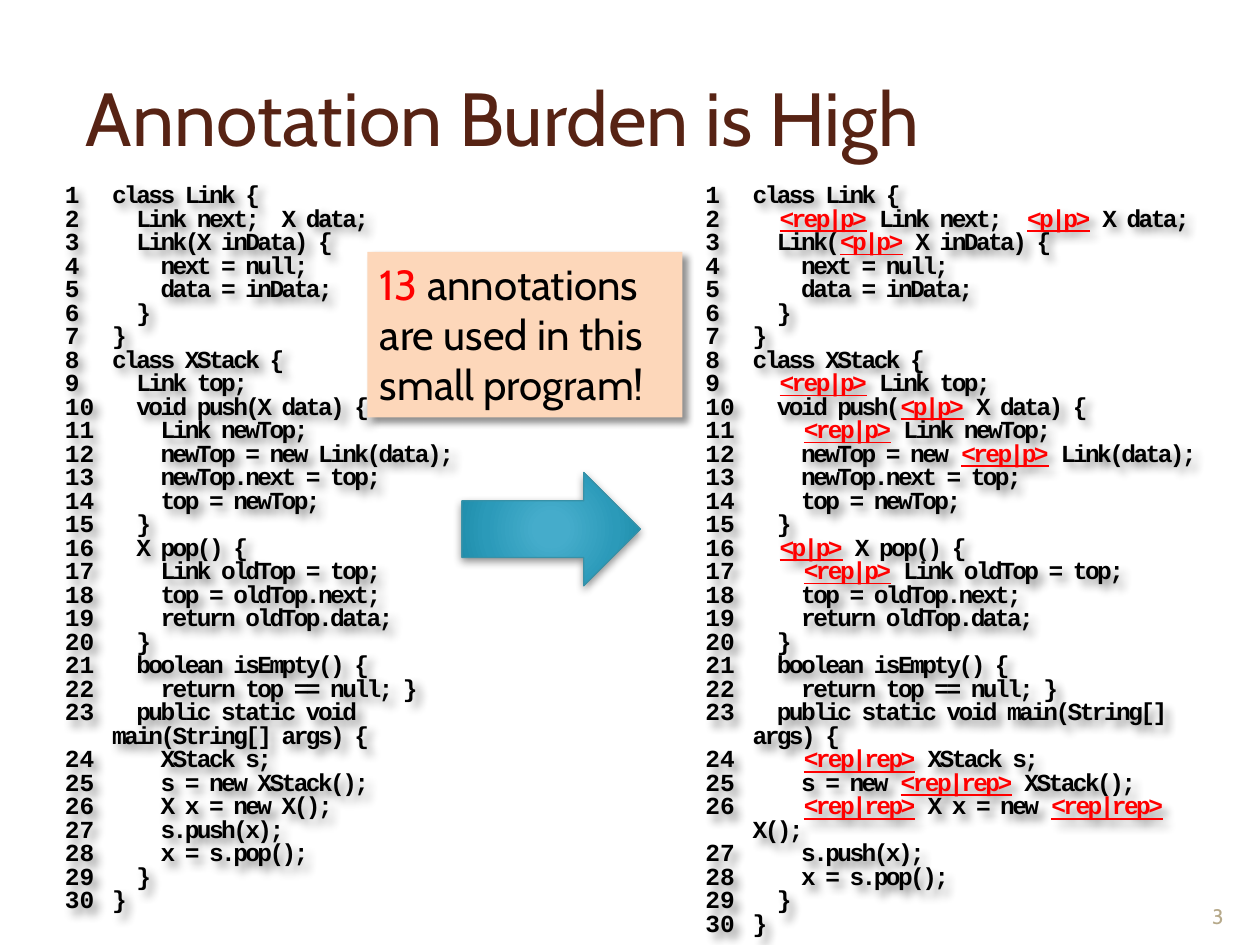
from lxml import etree
from pptx import Presentation
from pptx.dml.color import RGBColor
from pptx.enum.shapes import MSO_SHAPE
from pptx.enum.text import MSO_ANCHOR, MSO_AUTO_SIZE, PP_ALIGN
from pptx.oxml import parse_xml
from pptx.util import Pt

RECT, ARROW = MSO_SHAPE.RECTANGLE, MSO_SHAPE.RIGHT_ARROW
TOP, MIDDLE, BOTTOM = MSO_ANCHOR.TOP, MSO_ANCHOR.MIDDLE, MSO_ANCHOR.BOTTOM
LEFT, CENTER = PP_ALIGN.LEFT, PP_ALIGN.CENTER
GROW, FIXED = MSO_AUTO_SIZE.SHAPE_TO_FIT_TEXT, MSO_AUTO_SIZE.NONE
NS = "http://schemas.openxmlformats.org/drawingml/2006/main"

BLACK, RED = "000000", "FF0000"
BODY, CODE = "Cabin", "Courier New"

# Annotated program; the plain one is the same without the <...> parts.
# A ~ only marks where a new text run starts.
PROGRAM = """\
class~ ~Link {
  <rep|p> ~Link next;  <p|p> ~X data;
  Link(<p|p> ~X inData) {
    next = ~null;
    data = inData;
  }
}
class~ ~XStack {
  <rep|p> ~Link top;
  void~ ~push(<p|p> ~X data) {
    <rep|p> ~Link newTop;
    newTop = new <rep|p> Link(data);
    newTop.next = top;
    top = newTop;
  }
  <p|p> X pop() {
    <rep|p> Link oldTop = top;
    top = oldTop.next;
    ~return~ ~oldTop.data;
  }
  ~boolean~ ~isEmpty() {
    return top == null; }
  ~public static void~ main(String[] args) {
    <rep|rep> XStack s;
    s = new <rep|rep> ~XStack();
    <rep|rep> ~X x = new <rep|rep> ~X();
    s.push(x);
    x = s.pop();
  }
}""".split("\n")


def rgb(value):
    return RGBColor.from_string(value)


def pieces(line):
    """Split a line; every second piece is the inside of an annotation."""
    return line.replace(">", "<").split("<")


def strip_annotations(line):
    first, *rest = pieces(line.replace("~", ""))
    return first + "".join(part[1:] for part in rest[1::2])


class Deck:
    body = {"name": BODY, "size": Pt(24)}
    code = {"name": CODE, "size": Pt(14), "bold": True}

    def __init__(self, width, height):
        self.prs = Presentation()
        self.prs.slide_width, self.prs.slide_height = Pt(width), Pt(height)
        self.s = self.prs.slides.add_slide(self.prs.slide_layouts[6])

    def run(self, p, text, color, font):
        r = p.add_run()
        r.text = text
        for name, value in font.items():
            setattr(r.font, name, value)
        r.font.color.rgb = rgb(color)
        return r

    def frame(self, sp, anchor=TOP, auto_size=FIXED):
        tf = sp.text_frame
        fmt = {"word_wrap": True, "auto_size": auto_size, "vertical_anchor": anchor}
        for name, value in fmt.items():
            setattr(tf, name, value)
        return tf

    def shadow(self, sp, blur, dist, angle):
        sp.shadow.inherit = False
        effects = sp._element.spPr.find(f"{{{NS}}}effectLst")
        effects.append(parse_xml(
            f'<a:outerShdw xmlns:a="{NS}" blurRad="{Pt(blur)}" dist="{Pt(dist)}" '
            f'dir="{angle * 60000}" algn="tl" rotWithShape="0">'
            f'<a:srgbClr val="{BLACK}"><a:alpha val="43000"/></a:srgbClr></a:outerShdw>'))

    def text(self, box, text, color, size, anchor, align=LEFT):
        sp = self.s.shapes.add_textbox(*map(Pt, box))
        p = self.frame(sp, anchor).paragraphs[0]
        p.alignment = align
        self.run(p, text, color, {**self.body, "size": Pt(size)})

    def listing(self, box, lines):
        sp = self.s.shapes.add_textbox(*map(Pt, box))
        tf = self.frame(sp, auto_size=GROW)
        for i, line in enumerate(lines):
            p = tf.add_paragraph() if i else tf.paragraphs[0]
            p.line_spacing = 0.8
            pPr = p._p.get_or_add_pPr()
            pPr.set("marL", str(Pt(27)))
            pPr.set("indent", str(-Pt(27)))
            etree.SubElement(pPr, f"{{{NS}}}buFont", typeface=CODE)
            etree.SubElement(pPr, f"{{{NS}}}buAutoNum", type="arabicPlain")
            for k, part in enumerate(pieces(line)):
                if k % 2:
                    self.code_run(p, f"<{part}>", RED, underline=True)
                    continue
                for text in filter(None, part.split("~")):
                    self.code_run(p, text, BLACK)
        self.shadow(sp, 5, 5, 45)

    def code_run(self, p, text, color, **extra):
        r = self.run(p, text, color, {**self.code, **extra})
        r.font._element.set("spc", "-150")

    def arrow(self, box, stops, line):
        sp = self.s.shapes.add_shape(ARROW, *map(Pt, box))
        sp.line.color.rgb, sp.line.width = rgb(line), Pt(0.75)
        self.shadow(sp, 5, 2, 90)
        colors = "".join(f'<a:gs pos="{pos * 1000}"><a:srgbClr val="{c}"/></a:gs>'
                         for pos, c in stops)
        sp._element.spPr.find(f"{{{NS}}}prstGeom").addnext(parse_xml(
            f'<a:gradFill xmlns:a="{NS}" rotWithShape="1"><a:gsLst>{colors}</a:gsLst>'
            '<a:path path="circle"><a:fillToRect l="50000" t="50000" r="50000" b="50000"/>'
            '</a:path></a:gradFill>'))

    def callout(self, box, fill, runs):
        sp = self.s.shapes.add_shape(RECT, *map(Pt, box))
        sp.fill.solid()
        sp.fill.fore_color.rgb = rgb(fill)
        sp.line.fill.background()
        self.shadow(sp, 4, 4, 45)
        p = self.frame(sp, auto_size=GROW).paragraphs[0]
        p.alignment = LEFT
        for text, color in runs:
            self.run(p, text, color, self.body)


def main():
    deck = Deck(720, 540)

    # Program before and after annotation
    deck.listing((30, 102, 258, 428), [strip_annotations(line) for line in PROGRAM])
    deck.listing((396, 102, 306, 428), PROGRAM)

    # Title
    deck.text((42, 21.6, 638.4, 90), "Annotation Burden is High", "572314", 43, MIDDLE)

    # Arrow between the listings
    deck.arrow((264, 270, 102, 64.8),
               [(0, "45ACCC"), (15, "45ACCB"), (62, "2B9AB9"), (97, "1C8AA7"),
                (100, "0E89A7")], "3891A7")

    # Callout
    deck.callout((210, 144, 180, 94.5), "FDD7BA",
                 [("13 ", RED), ("annotations are used in this small program!", BLACK)])

    # Slide number
    deck.text((678, 496.8, 36, 37.4), "3", "B6A98A", 12, BOTTOM, CENTER)

    deck.prs.save("out.pptx")


if __name__ == "__main__":
    main()
